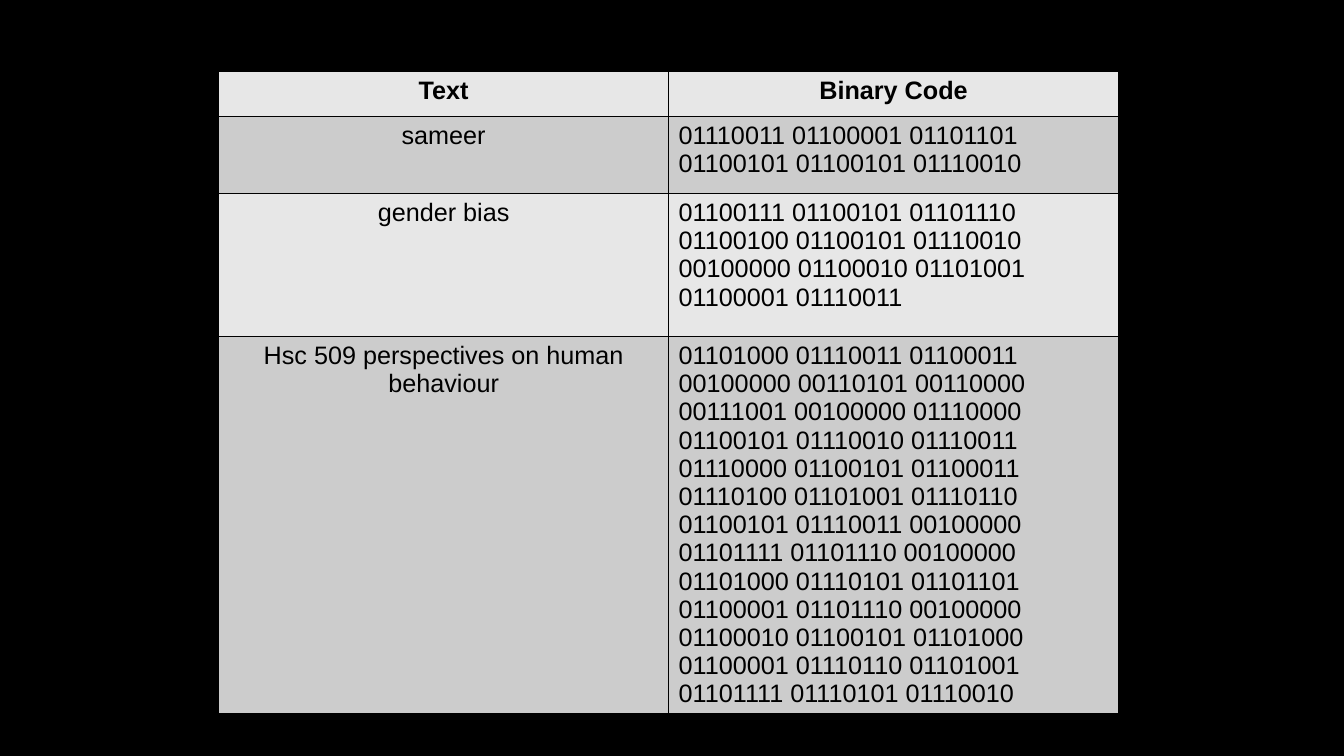
from lxml.etree import SubElement
from pptx import Presentation
from pptx.dml.color import RGBColor
from pptx.enum.text import PP_ALIGN
from pptx.oxml.ns import qn
from pptx.util import Cm, Pt

# Content: each phrase is shown beside its 8-bit character codes
HEADINGS = ("Text", "Binary Code")
PHRASES = ["sameer", "gender bias", "Hsc 509 perspectives on human behaviour"]

# Layout and style
TABLE_LEFT, TABLE_TOP = Cm(5.51), Cm(1.8)
COLUMN_WIDTH = Cm(11.34)
ROW_HEIGHTS = [Cm(1.13), Cm(1.95), Cm(3.6), Cm(9.35)]
BLACK = RGBColor(0x00, 0x00, 0x00)
LIGHT_GREY = RGBColor(0xE7, 0xE7, 0xE7)
MID_GREY = RGBColor(0xCC, 0xCC, 0xCC)


def binary_code(phrase):
    return " ".join(format(ord(letter), "08b") for letter in phrase.lower())


def add_borders(cell):
    properties = cell._tc.get_or_add_tcPr()
    for position, side in enumerate(("a:lnL", "a:lnR", "a:lnT", "a:lnB")):
        line = SubElement(properties, qn(side), w=str(Pt(1)))
        fill = SubElement(line, qn("a:solidFill"))
        SubElement(fill, qn("a:srgbClr"), val=str(BLACK))
        properties.insert(position, line)  # borders come before the cell fill


def format_cell(cell, text, fill, alignment, bold):
    cell.fill.solid()
    cell.fill.fore_color.rgb = fill
    add_borders(cell)
    cell.text_frame.text = text
    paragraph = cell.text_frame.paragraphs[0]
    paragraph.alignment = alignment
    font = paragraph.runs[0].font
    font.name, font.size, font.bold = "Arial", Pt(18), bold
    font.color.rgb = BLACK


def main():
    presentation = Presentation()
    presentation.slide_width, presentation.slide_height = Cm(33.87), Cm(19.05)
    slide = presentation.slides.add_slide(presentation.slide_layouts[6])
    slide.background.fill.solid()
    slide.background.fill.fore_color.rgb = BLACK

    # Table grid
    rows = [HEADINGS] + [(phrase, binary_code(phrase)) for phrase in PHRASES]
    table = slide.shapes.add_table(
        len(rows), len(HEADINGS), TABLE_LEFT, TABLE_TOP,
        COLUMN_WIDTH * len(HEADINGS), sum(ROW_HEIGHTS)).table
    for column in table.columns:
        column.width = COLUMN_WIDTH
    for row, height in zip(table.rows, ROW_HEIGHTS):
        row.height = height

    # Cells: banded rows, only the codes are left-aligned
    for row_index, row in enumerate(rows):
        is_heading = row_index == 0
        fill = MID_GREY if row_index % 2 else LIGHT_GREY
        for column_index, text in enumerate(row):
            centred = is_heading or column_index == 0
            alignment = PP_ALIGN.CENTER if centred else PP_ALIGN.LEFT
            format_cell(table.cell(row_index, column_index), text, fill,
                        alignment, is_heading)

    presentation.save("out.pptx")


if __name__ == "__main__":
    main()
